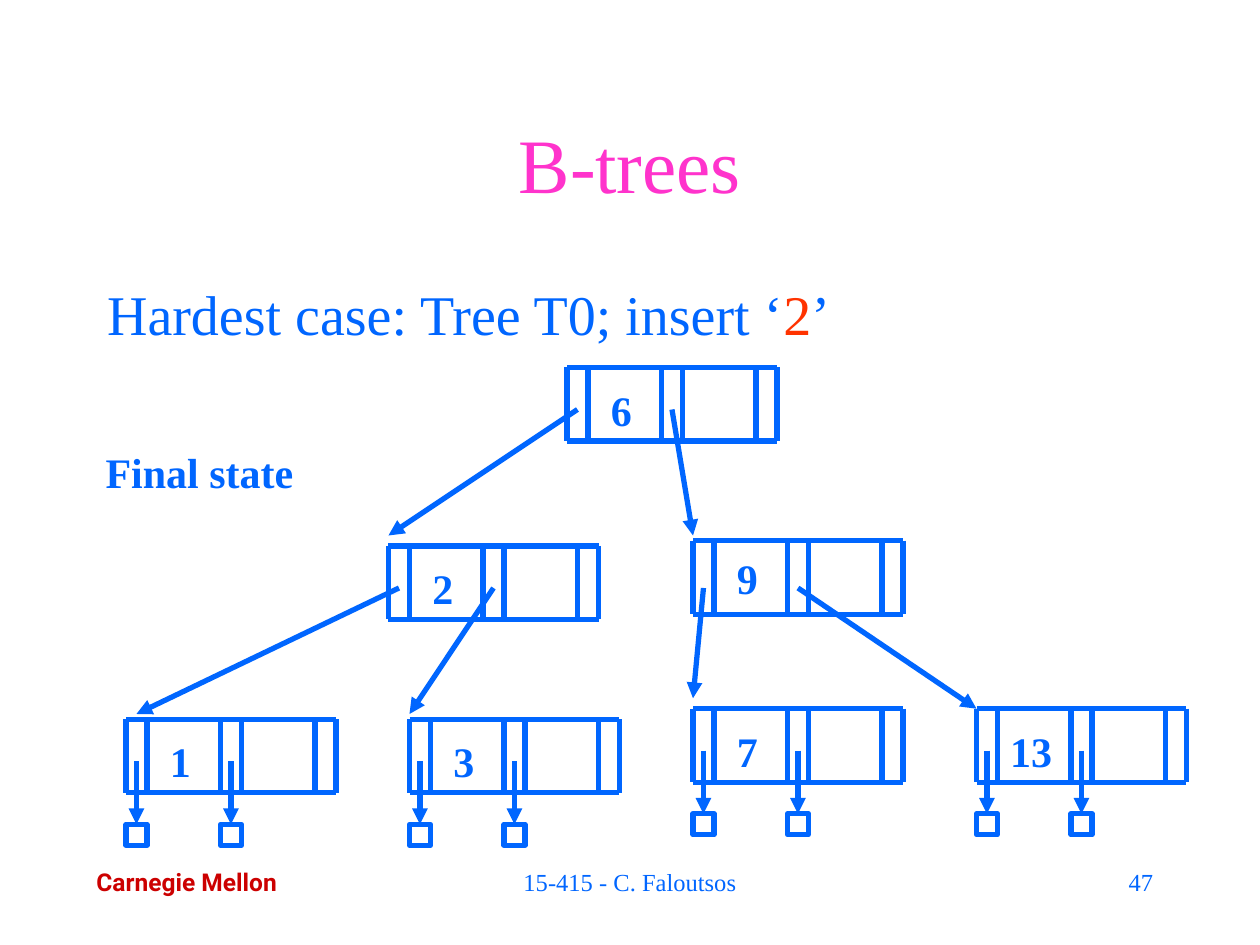
from lxml import etree
from pptx import Presentation
from pptx import util as u
from pptx.dml.color import RGBColor
from pptx.enum import shapes, text
from pptx.oxml.ns import qn

BLUE = RGBColor(0x00, 0x66, 0xFF)
PINK = RGBColor(0xFF, 0x33, 0xCC)
ORANGE = RGBColor(0xFF, 0x33, 0x00)
RED = RGBColor(0xCC, 0x00, 0x00)
WHITE = RGBColor(0xFF, 0xFF, 0xFF)
SERIF, SANS = "Times New Roman", "Roboto"
LEFT, CENTER, RIGHT = text.PP_ALIGN.LEFT, text.PP_ALIGN.CENTER, text.PP_ALIGN.RIGHT

# Content; lengths in px, 120 to the inch
TITLE = "B-trees"
BODY = [("Hardest case: Tree T0; insert ‘", BLUE), ("2", ORANGE), ("’", BLUE)]
# key, left, top, label drop
INNER_NODES = [("6", 540, 350, 10), ("2", 370, 520, 10), ("9", 660, 515, 5)]
LEAVES = [("1", 120, 685, 10), ("3", 390, 685, 10), ("7", 660, 675, 10), ("13", 930, 675, 10)]
# start of the left pointer, then the ends of the left and right pointers
POINTERS = [
    ((550, 390), [(370, 510), (660, 510)]),
    ((380, 560), [(130, 680), (390, 680)]),
    ((670, 560), [(660, 665), (930, 675)]),
]
# text, box, alignment, font, size, bold, colour
CAPTIONS = [
    ("Final state", (80, 419, 220, 60), CENTER, SERIF, 24, True, BLUE),
    ("Carnegie Mellon", (80, 820, 217, 41), LEFT, SANS, 14, True, RED),
    ("15-415 - C. Faloutsos", (410, 820, 380, 60), CENTER, SERIF, 14, False, BLUE),
    ("47", (860, 820, 250, 60), RIGHT, SERIF, 14, False, BLUE),
]

# Node geometry
SLOT, STEP, NODE_WIDTH, NODE_HEIGHT = 20, 90, 200, 70
POINTER_DROP, RECORD_DROP = 40, 100


def px(length):
    return u.Emu(length * 7620)


def style(font, name, size, bold, color):
    font.name, font.size, font.bold = name, u.Pt(size), bold
    font.color.rgb = color


def place(shape, *box):
    shape.left, shape.top, shape.width, shape.height = map(px, box)


def add_line(slide, start, end, arrow=False):
    line = slide.shapes.add_connector(
        shapes.MSO_CONNECTOR.STRAIGHT, *map(px, (*start, *end)))
    line.line.color.rgb = BLUE
    line.line.width = u.Pt(3)
    if arrow:
        etree.SubElement(line.line._get_or_add_ln(), qn("a:tailEnd"), type="triangle")
    etree.SubElement(line._element.spPr, qn("a:effectLst"))
    return line


def add_text(slide, content, box, alignment, name, size, bold, color, wrap=True):
    shape = slide.shapes.add_textbox(*map(px, box))
    frame = shape.text_frame
    frame.word_wrap = wrap
    frame.text = content
    paragraph = frame.paragraphs[0]
    paragraph.alignment = alignment
    style(paragraph.runs[0].font, name, size, bold, color)


def add_node(slide, key, left, top, label_drop):
    right, bottom = left + NODE_WIDTH, top + NODE_HEIGHT
    for slot in range(3):
        for x in (left + slot * STEP, left + slot * STEP + SLOT):
            add_line(slide, (x, top), (x, bottom))
    for y in (top, bottom):
        add_line(slide, (left, y), (right, y))
    inset, width = (30, 43) if len(key) == 1 else (20, 64)
    add_text(slide, key, (left + inset, top + label_drop, width, 60),
             CENTER, SERIF, 24, True, BLUE, wrap=False)


def add_records(slide, left, top):
    for x in (left, left + STEP):
        record = slide.shapes.add_shape(
            shapes.MSO_SHAPE.RECTANGLE, *map(px, (x, top + RECORD_DROP, SLOT, SLOT)))
        record.shadow.inherit = False
        record.fill.solid()
        record.fill.fore_color.rgb = WHITE
        record.line.color.rgb = BLUE
        record.line.width = u.Pt(3)
        middle = x + SLOT // 2
        arrow = add_line(slide, (middle, top + POINTER_DROP),
                         (middle, top + RECORD_DROP), arrow=True)
        arrow.end_connect(record, 0)


def main():
    presentation = Presentation()
    presentation.slide_width, presentation.slide_height = px(1200), px(900)
    slide = presentation.slides.add_slide(presentation.slide_layouts[1])

    # Title
    title = slide.shapes.title
    place(title, 90, 80, 1020, 150)
    title.text_frame.text = TITLE
    title.text_frame.vertical_anchor = text.MSO_ANCHOR.MIDDLE
    title.text_frame.auto_size = text.MSO_AUTO_SIZE.NONE
    paragraph = title.text_frame.paragraphs[0]
    paragraph.alignment = CENTER
    style(paragraph.runs[0].font, SERIF, 44, False, PINK)

    # Body line without a bullet
    body = slide.placeholders[1]
    place(body, 90, 260, 1020, 80)
    body.text_frame.auto_size = text.MSO_AUTO_SIZE.NONE
    paragraph = body.text_frame.paragraphs[0]
    paragraph.space_before = u.Pt(0)
    properties = paragraph._p.get_or_add_pPr()
    properties.set("marL", str(px(45)))
    properties.set("indent", str(px(-45)))
    etree.SubElement(properties, qn("a:buNone"))
    for content, color in BODY:
        run = paragraph.add_run()
        run.text = content
        style(run.font, SERIF, 32, False, color)

    # Tree
    for node in INNER_NODES + LEAVES:
        add_node(slide, *node)
    for _, left, top, _ in LEAVES:
        add_records(slide, left, top)
    for (x, y), ends in POINTERS:
        for slot, end in enumerate(ends):
            add_line(slide, (x + slot * STEP, y), end, arrow=True)

    # Caption and footer
    for caption in CAPTIONS:
        add_text(slide, *caption)

    presentation.save("out.pptx")


if __name__ == "__main__":
    main()
